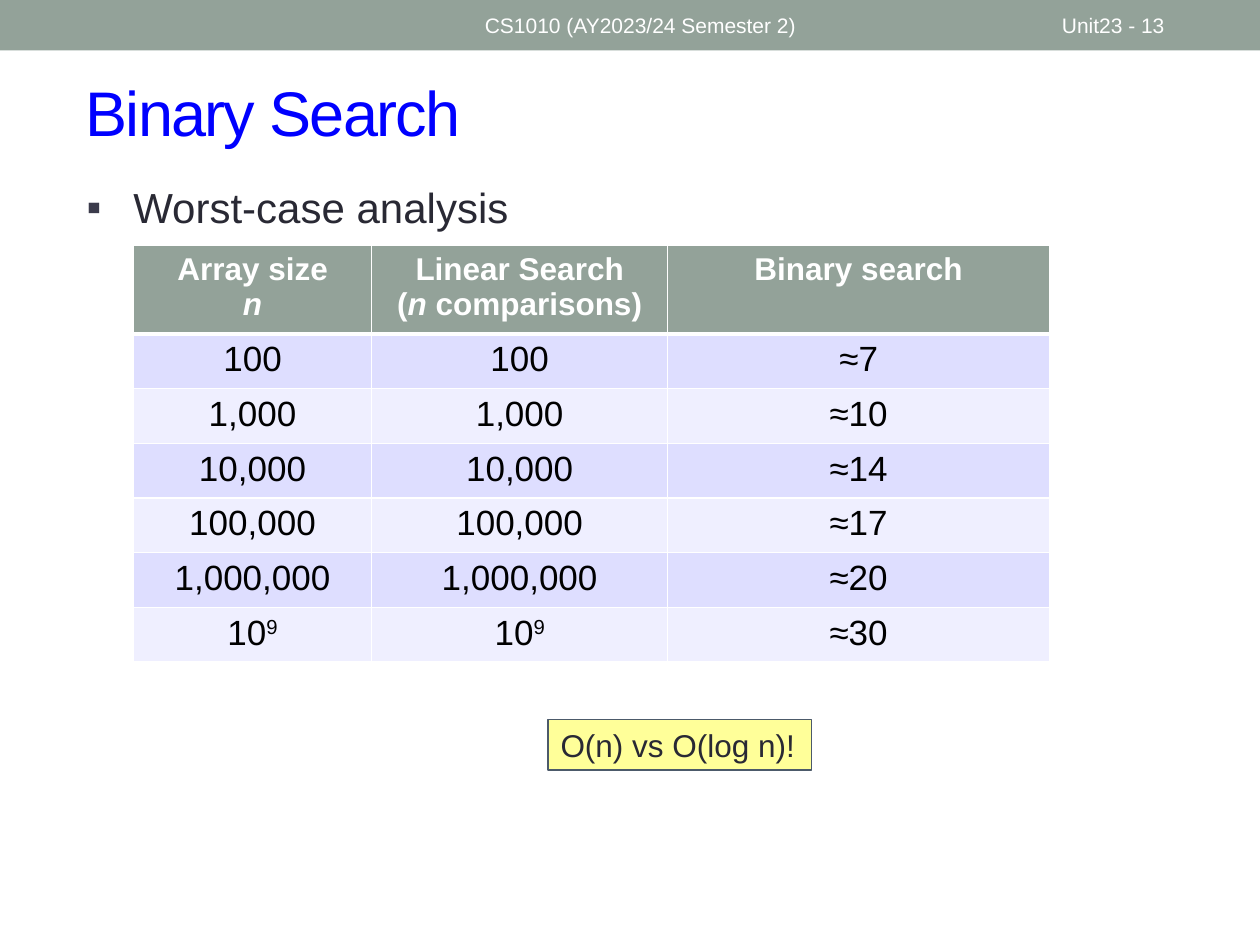
from pptx import Presentation
from pptx.dml.color import RGBColor
from pptx.enum.shapes import MSO_SHAPE
from pptx.enum.text import MSO_ANCHOR, PP_ALIGN
from pptx.oxml.ns import qn
from pptx.util import Inches, Pt
from lxml import etree

RECTANGLE = MSO_SHAPE.RECTANGLE
MIDDLE, TOP = MSO_ANCHOR.MIDDLE, MSO_ANCHOR.TOP
LEFT, CENTER = PP_ALIGN.LEFT, PP_ALIGN.CENTER

TITLE = "Binary Search"
BULLET = "Worst-case analysis"
CALLOUT = "O(n) vs O(log n)!"
BANNER_TEXTS = [
    ("CS1010 (AY2023/24 Semester 2)", (3.75, 0.02, 4.5, 0.36)),
    ("Unit23 - 13", (8.33, 0.02, 1.17, 0.36)),
]

# A cell is a list of paragraphs; a paragraph is a list of (text, style) spans.
PLAIN, ITALIC, RAISED = "plain", "italic", "raised"
HEADINGS = [
    [[("Array size", PLAIN)], [("n", ITALIC)]],
    [[("Linear Search", PLAIN)],
     [("(", PLAIN), ("n", ITALIC), (" comparisons)", PLAIN)]],
    [[("Binary search", PLAIN)]],
]
BILLION = [("10", PLAIN), ("9", RAISED)]
COMPARISONS = [
    ([("100", PLAIN)], "≈7"),
    ([("1,000", PLAIN)], "≈10"),
    ([("10,000", PLAIN)], "≈14"),
    ([("100,000", PLAIN)], "≈17"),
    ([("1,000,000", PLAIN)], "≈20"),
    (BILLION, "≈30"),
]
COLUMN_WIDTHS = [1.89, 2.35, 3.03]
HEADING_HEIGHT, ROW_HEIGHT = 0.65, 0.41

THEME = {
    "font": "Arial",
    "banner": "93A299",
    "bands": ["DEDEFF", "EFEFFF"],
    "rule": "FFFFFF",
    "bullet": "3B3B4B",
    "callout": "FFFF99",
    "callout_line": "4C5A6A",
    "title_text": {"size": 36, "color": "0000FF"},
    "body_text": {"size": 24, "color": "292934"},
    "callout_text": {"size": 18, "color": "292934"},
    "banner_text": {"size": 12, "color": "FFFFFF"},
    "heading_text": {"size": 18, "color": "FFFFFF", "bold": True},
    "cell_text": {"size": 20, "color": "000000", "bold": False},
}


def color(value):
    return RGBColor.from_string(value)


def place(shape, bounds):
    for name, value in zip(("left", "top", "width", "height"), bounds):
        setattr(shape, name, Inches(value))


def format_font(font, style):
    values = {"name": THEME["font"], "size": Pt(style["size"]),
              "bold": style.get("bold", False)}
    for name, value in values.items():
        setattr(font, name, value)
    font.color.rgb = color(style["color"])


def write(frame, paragraphs, style, align=LEFT, anchor=TOP):
    frame.word_wrap = True
    frame.vertical_anchor = anchor
    for index, spans in enumerate(paragraphs):
        para = frame.paragraphs[0] if index == 0 else frame.add_paragraph()
        para.alignment = align
        for text, variant in spans:
            span = para.add_run()
            span.text = text
            format_font(span.font, style)
            if variant == ITALIC:
                span.font.italic = True
            elif variant == RAISED:
                span.font._element.set("baseline", "30000")


def add_text(slide, text, bounds, style, anchor=TOP):
    box = slide.shapes.add_textbox(*map(Inches, bounds))
    write(box.text_frame, [[(text, PLAIN)]], style, anchor=anchor)
    return box


def add_rectangle(slide, bounds, fill):
    shape = slide.shapes.add_shape(RECTANGLE, *map(Inches, bounds))
    shape.shadow.inherit = False
    shape.fill.solid()
    shape.fill.fore_color.rgb = color(fill)
    shape.line.fill.background()
    return shape


def add_bullet(para):
    properties = para._p.get_or_add_pPr()
    properties.set("marL", str(Inches(0.37)))
    properties.set("indent", str(Inches(-0.37)))
    tint = etree.SubElement(properties, qn("a:buClr"))
    etree.SubElement(tint, qn("a:srgbClr"), val=THEME["bullet"])
    etree.SubElement(properties, qn("a:buFont"), typeface=THEME["font"])
    etree.SubElement(properties, qn("a:buChar"), char="▪")


def style_cell(cell, fill, top, bottom):
    """Rule all four sides, then fill: the schema wants borders first."""
    properties = cell._tc.get_or_add_tcPr()
    for side, width in {"L": 1, "R": 1, "T": top, "B": bottom}.items():
        border = etree.SubElement(properties, qn(f"a:ln{side}"), w=str(Pt(width)))
        paint = etree.SubElement(border, qn("a:solidFill"))
        etree.SubElement(paint, qn("a:srgbClr"), val=THEME["rule"])
    cell.fill.solid()
    cell.fill.fore_color.rgb = color(fill)


def add_comparison_table(slide):
    rows = [HEADINGS] + [[[size], [size], [[(steps, PLAIN)]]]
                         for size, steps in COMPARISONS]
    heights = [HEADING_HEIGHT] + [ROW_HEIGHT] * len(COMPARISONS)
    bounds = (1.06, 1.95, sum(COLUMN_WIDTHS), sum(heights))
    table = slide.shapes.add_table(len(rows), len(COLUMN_WIDTHS),
                                   *map(Inches, bounds)).table
    for column, width in zip(table.columns, COLUMN_WIDTHS):
        column.width = Inches(width)
    for index, (row, height) in enumerate(zip(rows, heights)):
        table.rows[index].height = Inches(height)
        heading = index == 0
        fill = THEME["banner"] if heading else THEME["bands"][(index - 1) % 2]
        style = THEME["heading_text" if heading else "cell_text"]
        for position, paragraphs in enumerate(row):
            cell = table.cell(index, position)
            style_cell(cell, fill, top=3 if index == 1 else 1,
                       bottom=3 if heading else 1)
            write(cell.text_frame, paragraphs, style, CENTER)


def main():
    deck = Presentation()
    deck.slide_width, deck.slide_height = Inches(10), Inches(7.5)
    slide = deck.slides.add_slide(deck.slide_layouts[5])

    add_rectangle(slide, (0, 0, 10, 0.4), THEME["banner"])

    title = slide.shapes.title
    place(title, (0.58, 0.42, 9.17, 0.92))
    write(title.text_frame, [[(TITLE, PLAIN)]], THEME["title_text"], anchor=MIDDLE)
    title.text_frame.paragraphs[0].runs[0].font._element.set("spc", "-100")

    body = add_text(slide, BULLET, (0.59, 1.39, 9.07, 0.78), THEME["body_text"])
    add_bullet(body.text_frame.paragraphs[0])

    add_comparison_table(slide)

    callout = add_rectangle(slide, (4.35, 5.71, 2.09, 0.4), THEME["callout"])
    callout.line.color.rgb = color(THEME["callout_line"])
    callout.line.width = Pt(1)
    write(callout.text_frame, [[(CALLOUT, PLAIN)]], THEME["callout_text"])

    for text, bounds in BANNER_TEXTS:
        add_text(slide, text, bounds, THEME["banner_text"], MIDDLE)

    deck.save("out.pptx")


if __name__ == "__main__":
    main()
